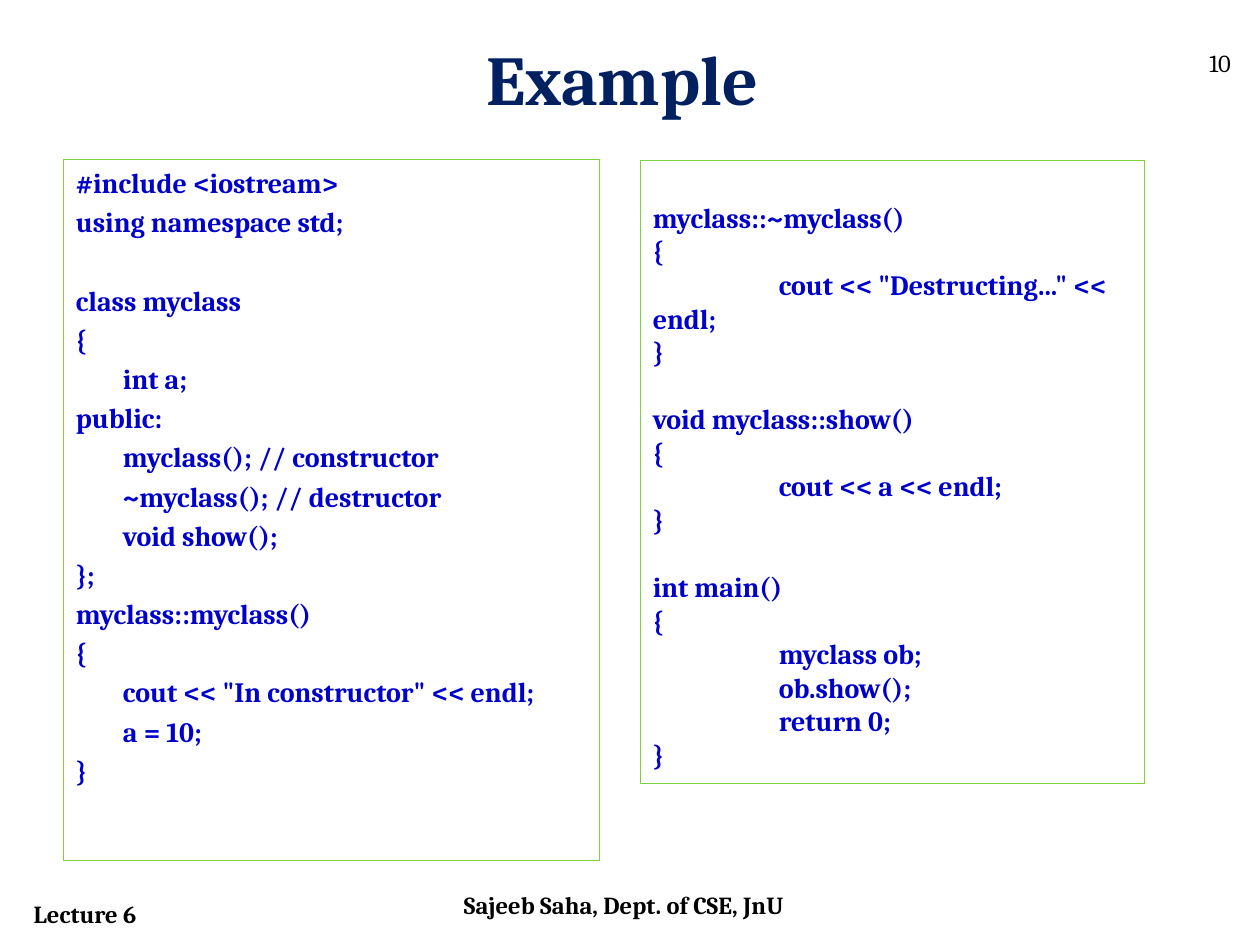
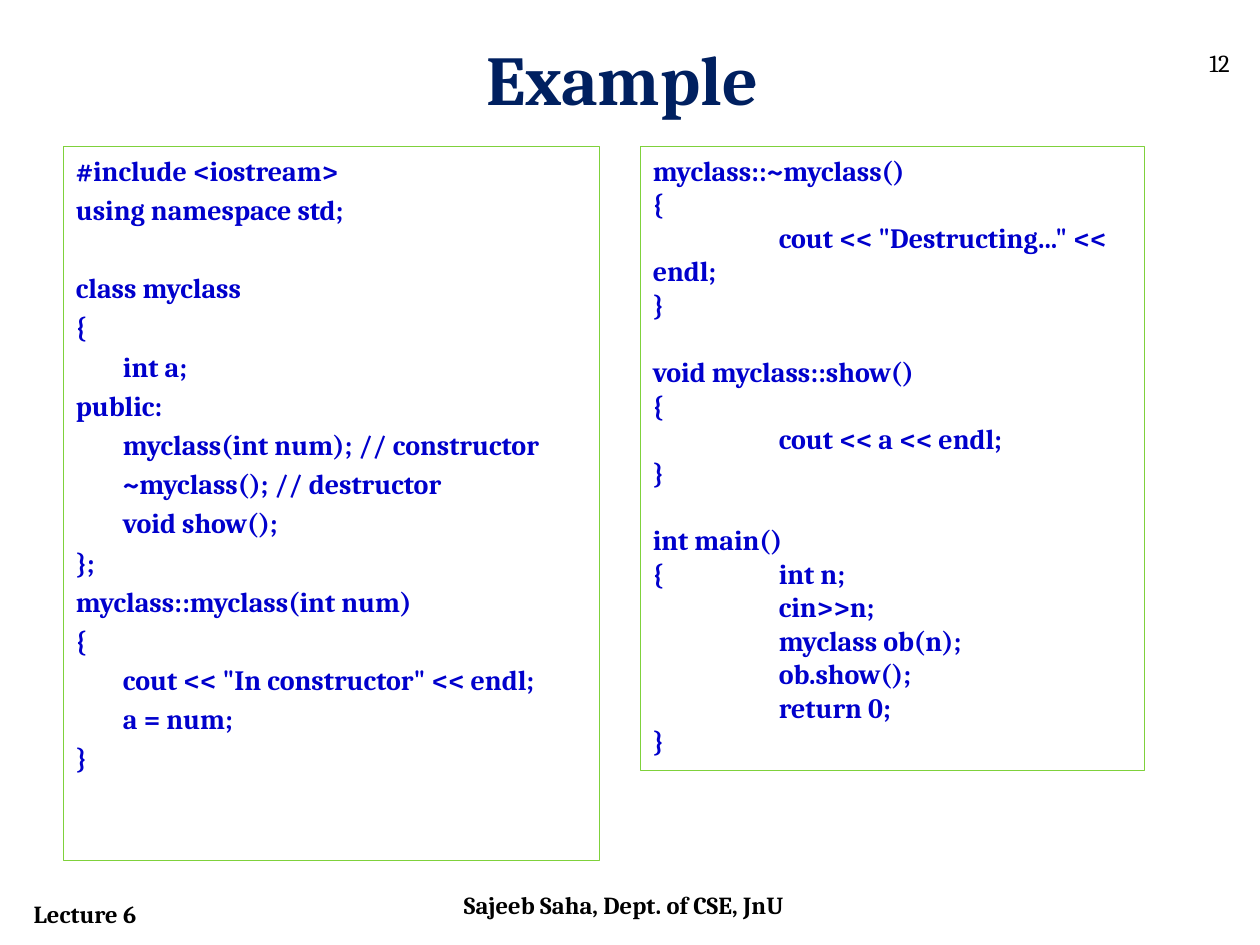
from dataclasses import dataclass

from lxml.etree import SubElement
from pptx import Presentation
from pptx.dml.color import RGBColor
from pptx.enum.shapes import MSO_SHAPE
from pptx.enum.text import MSO_ANCHOR, PP_ALIGN
from pptx.oxml.ns import qn
from pptx.util import Cm, Pt

FONT = "Cambria"
BLACK, NAVY, BLUE, GREEN = "000000", "002060", "0000CC", "7FD13B"
LINE = 19.15  # height in points of one code line


@dataclass(frozen=True)
class Box:
    left: float
    top: float
    width: float
    height: float

    def lengths(self) -> tuple:
        return Cm(self.left), Cm(self.top), Cm(self.width), Cm(self.height)


@dataclass(frozen=True)
class Panel:
    box: Box
    code: str
    space: float = 0
    hang: float = 0
    tab: float = 0
    inset: float = 0.13


@dataclass(frozen=True)
class Page:
    number: str
    panels: tuple


TITLE = Box(1.27, 0.58, 22.86, 1.96)
NUMBER = Box(24.13, 0.84, 1.07, 1.02)
AUTHOR = Box(9.1, 17.81, 7.19, 1.02)
LECTURE = Box(0.43, 18, 5.08, 0.86)

# Code listings; an empty line becomes space before the next one
CLASS = """#include <iostream>
using namespace std;

class myclass
{{
\tint a;
public:
\tmyclass({arg}); // constructor
\t~myclass(); // destructor
\tvoid show();
}};
myclass::myclass({arg})
{{
\tcout << "In constructor" << endl;
\ta = {value};
}}"""

METHODS = """myclass::~myclass()
{
\tcout << "Destructing..." << endl;
}

void myclass::show()
{
\tcout << a << endl;
}

int main()
"""

MAIN = """{
\tmyclass ob;
\tob.show();
\treturn 0;
}"""

MAIN_ARG = """{\tint n;
\tcin>>n;
\tmyclass ob(n);
\tob.show();
\treturn 0;
}"""


def color(code: str) -> RGBColor:
    return RGBColor.from_string(code)


def write(frame, text: str, *, size: float = 14, ink: str = BLACK,
          bold: bool = True, align=PP_ALIGN.LEFT, space: float = 0,
          hang: float = 0, tab: float = 0, inset: float = 0.13) -> None:
    frame.word_wrap = True
    frame.vertical_anchor = MSO_ANCHOR.TOP
    frame.margin_top = Cm(inset)
    gap = 0
    first = True
    for line in text.split("\n"):
        if not line:
            gap += LINE + space
            continue
        para = frame.paragraphs[0] if first else frame.add_paragraph()
        para.alignment = align
        if not first:
            para.space_before = Pt(space + gap)
        props = para._p.get_or_add_pPr()
        if hang:
            props.set("marL", str(Cm(hang)))
            props.set("indent", str(-Cm(hang)))
        if tab:
            stops = SubElement(props, qn("a:tabLst"))
            SubElement(stops, qn("a:tab"), pos=str(Cm(tab)), algn="l")
        run = para.add_run()
        run.text = line
        font = run.font
        font.name, font.size, font.bold = FONT, Pt(size), bold
        font.color.rgb = color(ink)
        gap, first = 0, False


def label(slide, box: Box, text: str, **style) -> None:
    write(slide.shapes.add_textbox(*box.lengths()).text_frame, text, **style)


def draw_code(slide, panel: Panel) -> None:
    shape = slide.shapes.add_shape(MSO_SHAPE.RECTANGLE, *panel.box.lengths())
    shape.shadow.inherit = False
    shape.fill.background()
    shape.line.color.rgb = color(GREEN)
    shape.line.width = Pt(0.75)
    write(shape.text_frame, panel.code, size=16, ink=BLUE, space=panel.space,
          hang=panel.hang, tab=panel.tab, inset=panel.inset)


def draw_page(deck, page: Page) -> None:
    slide = deck.slides.add_slide(deck.slide_layouts[6])
    label(slide, LECTURE, "Lecture 6")
    for panel in page.panels:
        draw_code(slide, panel)
    label(slide, AUTHOR, "Sajeeb Saha, Dept. of CSE, JnU")
    label(slide, NUMBER, page.number, bold=False)
    label(slide, TITLE, "Example ", size=40, ink=NAVY, align=PP_ALIGN.CENTER)


def left(top: float, height: float, arg: str, value: str) -> Panel:
    code = CLASS.format(arg=arg, value=value)
    return Panel(Box(1.28, top, 10.8, height), code, space=3.2, hang=0.95)


def right(top: float, main: str, inset: float = 0.13) -> Panel:
    box = Box(12.91, top, 10.16, 12.57)
    return Panel(box, METHODS + main, tab=2.54, inset=inset)


PAGES = (
    Page("10", (left(3.21, 14.14, "", "10"), right(3.23, MAIN, inset=0.81))),
    Page("12", (left(2.96, 14.39, "int num", "num"), right(2.96, MAIN_ARG))),
)


def main() -> None:
    deck = Presentation()
    deck.slide_width, deck.slide_height = Cm(25.4), Cm(19.05)
    for page in PAGES:
        draw_page(deck, page)
    deck.save("out.pptx")


if __name__ == "__main__":
    main()
